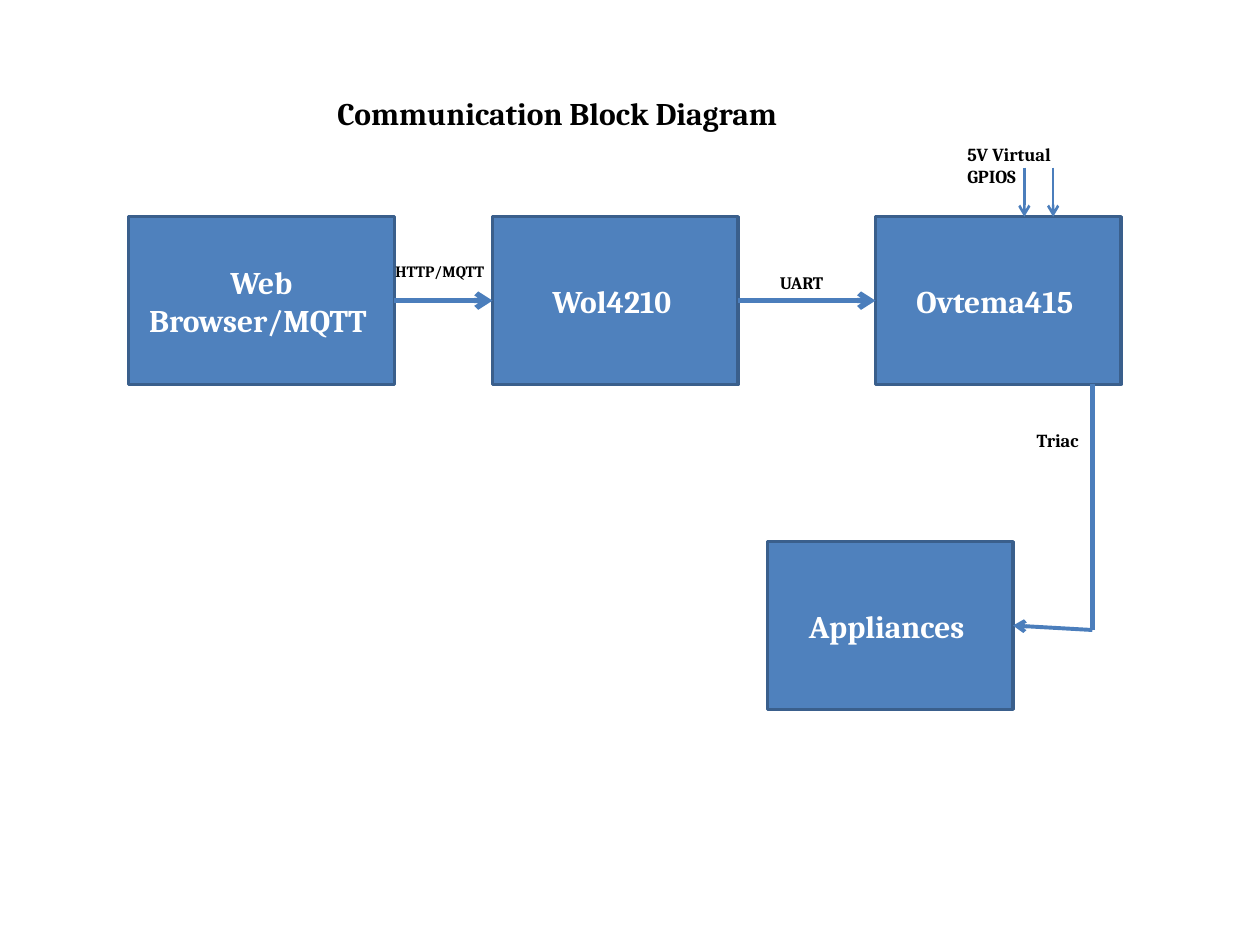
from lxml.etree import SubElement
from pptx import Presentation
from pptx.dml.color import RGBColor
from pptx.enum.shapes import MSO_CONNECTOR as Connector, MSO_SHAPE as Shape
from pptx.enum.text import MSO_ANCHOR as Anchor, MSO_AUTO_SIZE as AutoSize, PP_ALIGN as Align
from pptx.oxml.ns import qn
from pptx.util import Cm, Pt

COLORS = {"block": "4F81BD", "border": "3A5F8C", "arrow": "4B7EBC", "light": "FFFFFF", "dark": "000000"}
FONT = "Cambria"
LEFT, RIGHT = 1, 3

ROW_TOP, BLOCK_WIDTH, BLOCK_HEIGHT = 4.37, 4.95, 3.38
BLOCKS = {
    "browser": ("Web Browser/MQTT ", 2.59, ROW_TOP, 5.36),
    "wifi": ("Wol4210 ", 9.93, ROW_TOP, BLOCK_WIDTH),
    "controller": ("Ovtema415 ", 17.65, ROW_TOP, BLOCK_WIDTH),
    "appliances": ("Appliances ", 15.47, 10.92, BLOCK_WIDTH),
}
LABELS = [
    ("Communication Block Diagram", 6.55, 1.78, 9.8, 1.02, 18, False),
    ("HTTP/MQTT", 7.72, 5.16, 2.62, 0.64, 9, True),
    ("UART", 15.47, 5.36, 1.6, 0.69, 10, True),
    ("5V Virtual GPIOS", 19.25, 2.77, 2.39, 1.14, 10.5, True),
    ("Triac", 20.65, 8.53, 1.78, 0.71, 10.5, True),
]
FLOWS = [("browser", "wifi"), ("wifi", "controller")]
PIN_POSITIONS, PIN_TOP = [20.65, 21.23], 3.38
TRIAC_X, TRIAC_BOTTOM = 22.02, 12.7


def color(name):
    return RGBColor.from_string(COLORS[name])


def write(frame, text, size, ink, **settings):
    for name, value in settings.items():
        setattr(frame, name, value)
    span = frame.paragraphs[0].add_run()
    span.text = text
    for name, value in {"name": FONT, "size": Pt(size), "bold": True}.items():
        setattr(span.font, name, value)
    span.font.color.rgb = color(ink)


def add_block(page, text, left, top, width):
    box = page.shapes.add_shape(Shape.RECTANGLE, Cm(left), Cm(top), Cm(width), Cm(BLOCK_HEIGHT))
    box.shadow.inherit = False
    box.fill.solid()
    box.fill.fore_color.rgb = color("block")
    box.line.color.rgb = color("border")
    box.line.width = Pt(2)
    write(box.text_frame, text, 18, "light", word_wrap=True, vertical_anchor=Anchor.MIDDLE)
    box.text_frame.paragraphs[0].alignment = Align.CENTER
    return box


def add_label(page, text, left, top, width, height, size, wrap):
    box = page.shapes.add_textbox(Cm(left), Cm(top), Cm(width), Cm(height))
    write(box.text_frame, text, size, "dark", word_wrap=wrap, auto_size=AutoSize.SHAPE_TO_FIT_TEXT)


def add_line(page, start=(0, 0), end=(0, 0), weight=3, arrow=True):
    line = page.shapes.add_connector(Connector.STRAIGHT, *map(Cm, start + end))
    line.line.color.rgb = color("arrow")
    line.line.width = Pt(weight)
    properties = line.line._get_or_add_ln()
    if arrow:
        SubElement(properties, qn("a:tailEnd"), type="arrow")
    SubElement(properties.getparent(), qn("a:effectLst"))
    return line


def main():
    deck = Presentation()
    deck.slide_width, deck.slide_height = Cm(25.4), Cm(19.05)
    page = deck.slides.add_slide(deck.slide_layouts[6])

    blocks = {name: add_block(page, *block) for name, block in BLOCKS.items()}

    for source, target in FLOWS:
        flow = add_line(page)
        flow.begin_connect(blocks[source], RIGHT)
        flow.end_connect(blocks[target], LEFT)

    for x in PIN_POSITIONS:
        add_line(page, (x, PIN_TOP), (x, ROW_TOP), weight=1.5)

    corner = (TRIAC_X, TRIAC_BOTTOM)
    add_line(page, (TRIAC_X, ROW_TOP + BLOCK_HEIGHT), corner, arrow=False)
    supply = add_line(page, corner, corner, weight=2.25)
    supply.end_connect(blocks["appliances"], RIGHT)

    for label in LABELS:
        add_label(page, *label)

    deck.save("out.pptx")


if __name__ == "__main__":
    main()
